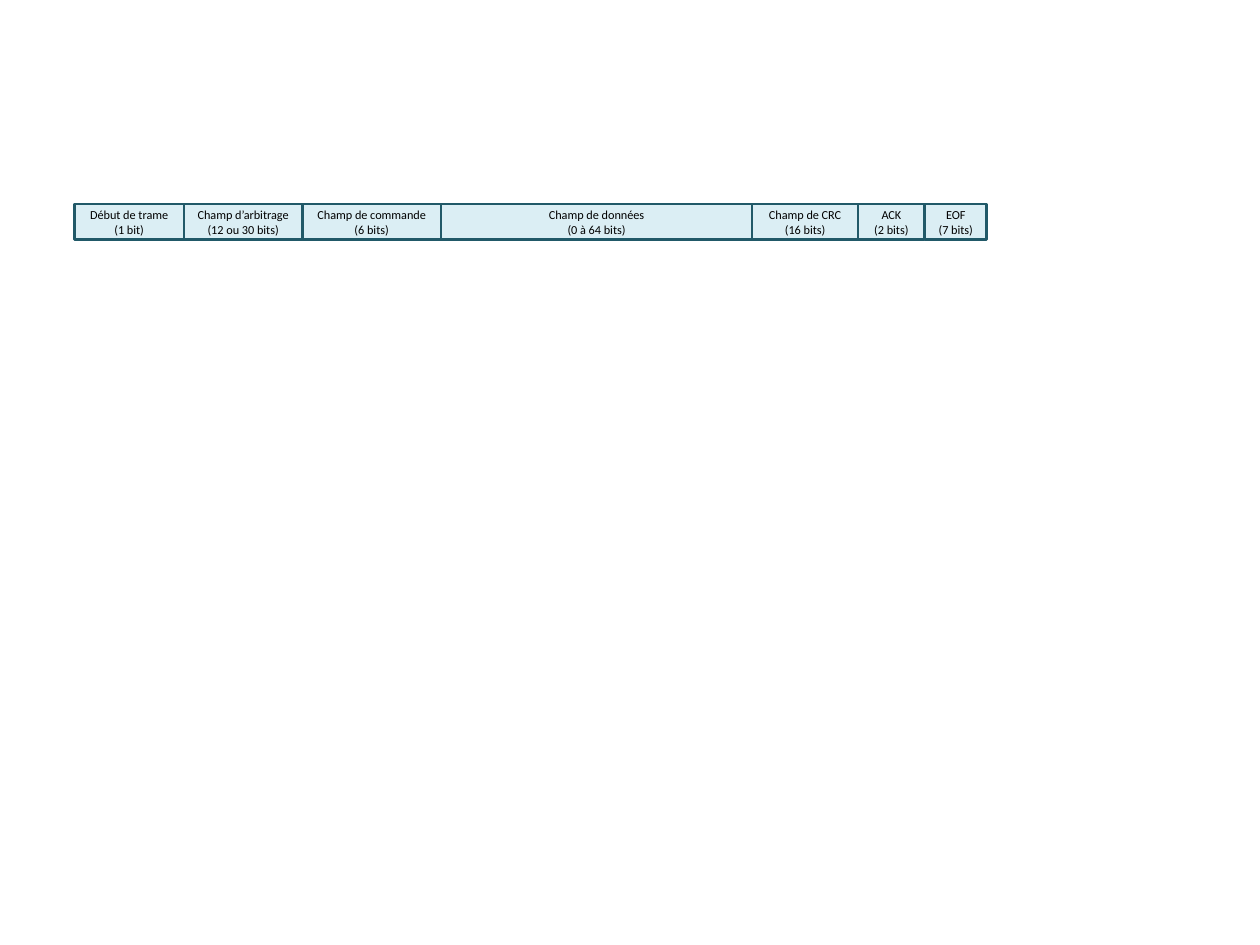
from pptx import Presentation
from pptx.dml.color import RGBColor
from pptx.enum.shapes import MSO_SHAPE
from pptx.enum.text import MSO_ANCHOR, PP_ALIGN
from pptx.util import Inches, Pt

# Frame fields in order: name, size, width in inches
FIELDS = [
    ("Début de trame", "(1 bit)", 0.87),
    ("Champ d’arbitrage", "(12 ou 30 bits)", 0.94),
    ("Champ de commande", "(6 bits)", 1.1),
    ("Champ de données", "(0 à 64 bits)", 2.47),
    ("Champ de CRC", "(16 bits)", 0.84),
    ("ACK", "(2 bits)", 0.53),
    ("EOF", "(7 bits)", 0.49),
]
FRAME_LEFT, FRAME_TOP, FRAME_HEIGHT = 0.59, 1.62, 0.28


def color(value):
    return RGBColor.from_string(value)


FRAME_FORMAT = {
    "word_wrap": True,
    "vertical_anchor": MSO_ANCHOR.MIDDLE,
    "margin_left": 0,
    "margin_right": 0,
    "margin_top": 0,
    "margin_bottom": 0,
}
FONT_FORMAT = {"name": "Calibri", "size": Pt(7)}


def set_attributes(target, values):
    for name, value in values.items():
        setattr(target, name, value)


def add_field(slide, left, width, lines):
    shape = slide.shapes.add_shape(
        MSO_SHAPE.RECTANGLE,
        Inches(left), Inches(FRAME_TOP), Inches(width), Inches(FRAME_HEIGHT),
    )
    shape.shadow.inherit = False
    shape.fill.solid()
    shape.fill.fore_color.rgb = color("DBEEF4")
    shape.line.color.rgb = color("215968")
    shape.line.width = Pt(1.5)
    set_attributes(shape.text_frame, FRAME_FORMAT)
    shape.text_frame.text = "\n".join(lines)
    for paragraph in shape.text_frame.paragraphs:
        paragraph.alignment = PP_ALIGN.CENTER
        set_attributes(paragraph.font, FONT_FORMAT)
        paragraph.font.color.rgb = color("000000")


def main():
    presentation = Presentation()
    presentation.slide_width = Inches(10)
    presentation.slide_height = Inches(7.5)
    slide = presentation.slides.add_slide(presentation.slide_layouts[6])
    left = FRAME_LEFT
    for name, size, width in FIELDS:
        add_field(slide, left, width, (name, size))
        left += width
    presentation.save("out.pptx")


if __name__ == "__main__":
    main()
